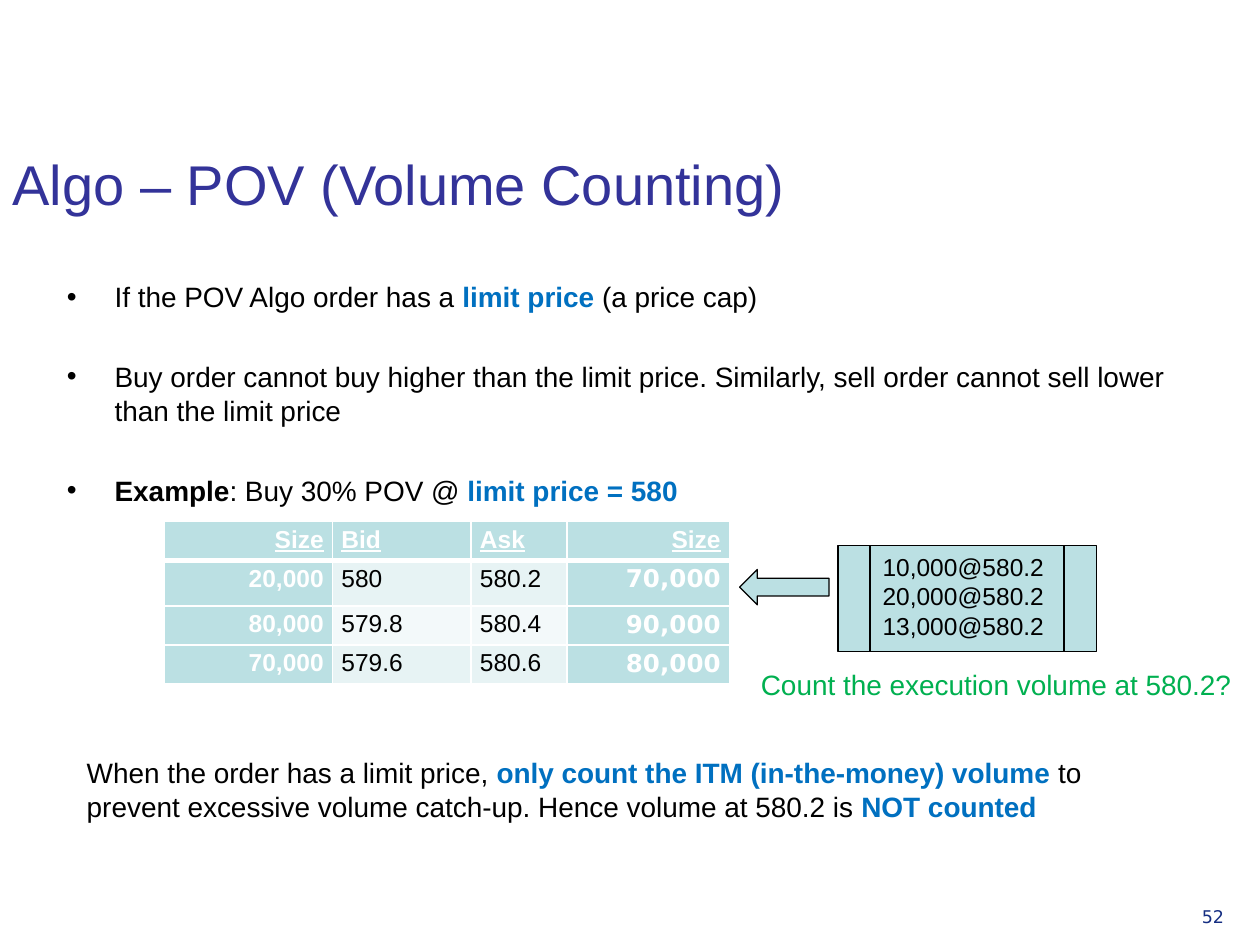
from dataclasses import dataclass
from typing import Optional

from lxml.etree import SubElement
from pptx import Presentation
from pptx.dml.color import RGBColor
from pptx.enum.shapes import MSO_SHAPE as Shape
from pptx.enum.text import MSO_ANCHOR as Anchor, MSO_AUTO_SIZE as AutoSize, PP_ALIGN as Align
from pptx.oxml.ns import qn
from pptx.util import Inches, Pt

WIDTH, HEIGHT = Inches(10), Inches(7.5)
BLACK = RGBColor(0x00, 0x00, 0x00)
WHITE = RGBColor(0xFF, 0xFF, 0xFF)
BLUE = RGBColor(0x00, 0x70, 0xC0)
GREEN = RGBColor(0x00, 0xB0, 0x50)
INDIGO = RGBColor(0x33, 0x33, 0x99)
NAVY = RGBColor(0x15, 0x2E, 0x82)
TEAL = RGBColor(0xBB, 0xE0, 0xE3)
BANDS = (RGBColor(0xF3, 0xF9, 0xFA), RGBColor(0xE7, 0xF3, 0xF4))
ARIAL, DEJAVU = "Arial", "DejaVu Sans"


@dataclass(frozen=True)
class Area:
    """Shares of the slide's width and height, in percent."""
    left: float
    top: float
    width: float
    height: float

    def box(self) -> tuple[int, int, int, int]:
        return (across(self.left), down(self.top), across(self.width), down(self.height))


@dataclass(frozen=True)
class Style:
    size: float
    color: RGBColor = BLACK
    bold: bool = False
    name: str = ARIAL
    underline: bool = False


@dataclass(frozen=True)
class Span:
    text: str
    style: Style


BODY = Style(16)
STRONG = Style(16, bold=True)
KEY = Style(16, BLUE, bold=True)
BULLETS = (
    (Span("If the POV Algo order has a ", BODY), Span("limit price ", KEY),
     Span("(a price cap)", BODY)),
    (Span("Buy order cannot buy higher than the limit price. Similarly, "
          "sell order cannot sell lower than the limit price", BODY),),
    (Span("Example", STRONG), Span(": Buy 30% POV @ ", BODY), Span("limit price = 580", KEY)),
)
CONCLUSION = (
    Span("When the order has a limit price, ", BODY),
    Span("only count the ITM (in-the-money) volume ", KEY),
    Span("to prevent excessive volume catch-up. Hence volume at 580.2 is ", BODY),
    Span("NOT counted", KEY),
)
ORDER_BOOK = (
    ("Size", "Bid", "Ask", "Size"),
    ("20,000", "580", "580.2", "70,000"),
    ("80,000", "579.8", "580.4", "90,000"),
    ("70,000", "579.6", "580.6", "80,000"),
)
COLUMN_SHARES = (13.4, 11, 7.6, 12.9)
ROW_SHARES = (4.13, 4.8, 4.13, 4.13)


def across(percent: float) -> int:
    return int(WIDTH * percent / 100)


def down(percent: float) -> int:
    return int(HEIGHT * percent / 100)


def apply(style: Style, run) -> None:
    font = run.font
    font.name, font.size = style.name, Pt(style.size)
    font.bold, font.underline = style.bold, style.underline
    font.color.rgb = style.color


def fill_text(frame, text: str, style: Style) -> None:
    frame.text = text
    for paragraph in frame.paragraphs:
        paragraph.alignment = Align.LEFT
        for run in paragraph.runs:
            apply(style, run)


def add_spans(paragraph, spans: tuple[Span, ...]) -> None:
    for span in spans:
        run = paragraph.add_run()
        run.text = span.text
        apply(span.style, run)


def place(placeholder, area: Area, anchor: Anchor):
    placeholder.left, placeholder.top, placeholder.width, placeholder.height = area.box()
    frame = placeholder.text_frame
    frame.auto_size = AutoSize.NONE
    frame.vertical_anchor = anchor
    return frame


def add_label(slide, area: Area, text: str = "", style: Optional[Style] = None,
              wrap: bool = True):
    frame = slide.shapes.add_textbox(*area.box()).text_frame
    frame.word_wrap = wrap
    if style:
        fill_text(frame, text, style)
    return frame


def add_block(slide, kind: Shape, area: Area):
    block = slide.shapes.add_shape(kind, *area.box())
    block.shadow.inherit = False
    block.fill.solid()
    block.fill.fore_color.rgb = TEAL
    block.line.color.rgb = BLACK
    block.line.width = Pt(0.75)
    return block


def add_bullets(frame) -> None:
    frame.margin_top = Inches(0.36)
    for index, spans in enumerate(BULLETS):
        paragraph = frame.paragraphs[0] if index == 0 else frame.add_paragraph()
        properties = paragraph._p.get_or_add_pPr()
        properties.set("marL", str(Inches(0.38)))
        properties.set("indent", str(-Inches(0.38)))
        SubElement(properties, qn("a:buChar"), char="•")
        paragraph.space_before = Pt(26.5 if index else 0)
        add_spans(paragraph, spans)


def add_borders(cell, row: int) -> None:
    properties = cell._tc.get_or_add_tcPr()
    widths = {"L": 1, "R": 1, "T": 3 if row == 1 else 1, "B": 3 if row == 0 else 1}
    for side, width in widths.items():
        line = SubElement(properties, qn(f"a:ln{side}"), w=str(Pt(width)))
        SubElement(SubElement(line, qn("a:solidFill")), qn("a:srgbClr"), val=str(WHITE))


def add_order_book(slide) -> None:
    area = Area(13, 55.2, sum(COLUMN_SHARES), sum(ROW_SHARES))
    table = slide.shapes.add_table(len(ROW_SHARES), len(COLUMN_SHARES), *area.box()).table
    for column, share in zip(table.columns, COLUMN_SHARES):
        column.width = across(share)
    for table_row, share in zip(table.rows, ROW_SHARES):
        table_row.height = down(share)
    for row, values in enumerate(ORDER_BOOK):
        for column, value in enumerate(values):
            header, size_column = row == 0, column in (0, 3)
            accent = header or size_column
            cell = table.cell(row, column)
            cell.margin_left = cell.margin_right = Inches(0.07)
            cell.margin_top = cell.margin_bottom = 0
            add_borders(cell, row)
            cell.fill.solid()
            cell.fill.fore_color.rgb = TEAL if accent else BANDS[row % 2]
            font_name = DEJAVU if column == 3 and not header else ARIAL
            fill_text(cell.text_frame, value,
                      Style(14, WHITE if accent else BLACK, accent, font_name, header))
            paragraph = cell.text_frame.paragraphs[0]
            paragraph.alignment = Align.RIGHT if size_column else Align.LEFT
            paragraph.line_spacing = 1.15


def main() -> None:
    deck = Presentation()
    deck.slide_width, deck.slide_height = WIDTH, HEIGHT
    slide = deck.slides.add_slide(deck.slide_layouts[1])

    title = place(slide.shapes.title, Area(0, 9.07, 88.3, 14.53), Anchor.BOTTOM)
    fill_text(title, "Algo – POV (Volume Counting)", Style(32, INDIGO))
    add_bullets(place(slide.placeholders[1], Area(4.3, 24.8, 92.9, 23.07), Anchor.TOP))
    add_order_book(slide)

    add_block(slide, Shape.LEFT_ARROW, Area(58.7, 60.27, 7.1, 3.73))
    executions = add_block(slide, Shape.FLOWCHART_PREDEFINED_PROCESS,
                           Area(66.5, 57.73, 20.5, 11.2)).text_frame
    executions.vertical_anchor = Anchor.TOP
    fill_text(executions, "10,000@580.2\n20,000@580.2\n13,000@580.2", Style(14))

    add_label(slide, Area(59.4, 70, 39.8, 4.93), "Count the execution volume at 580.2?",
              Style(16, GREEN), wrap=False)
    conclusion = add_label(slide, Area(5.9, 79.33, 86.6, 8.53))
    add_spans(conclusion.paragraphs[0], CONCLUSION)
    add_label(slide, Area(94.4, 95.2, 5.5, 5.2), "52", Style(10, NAVY, name=DEJAVU))

    deck.save("out.pptx")


if __name__ == "__main__":
    main()
